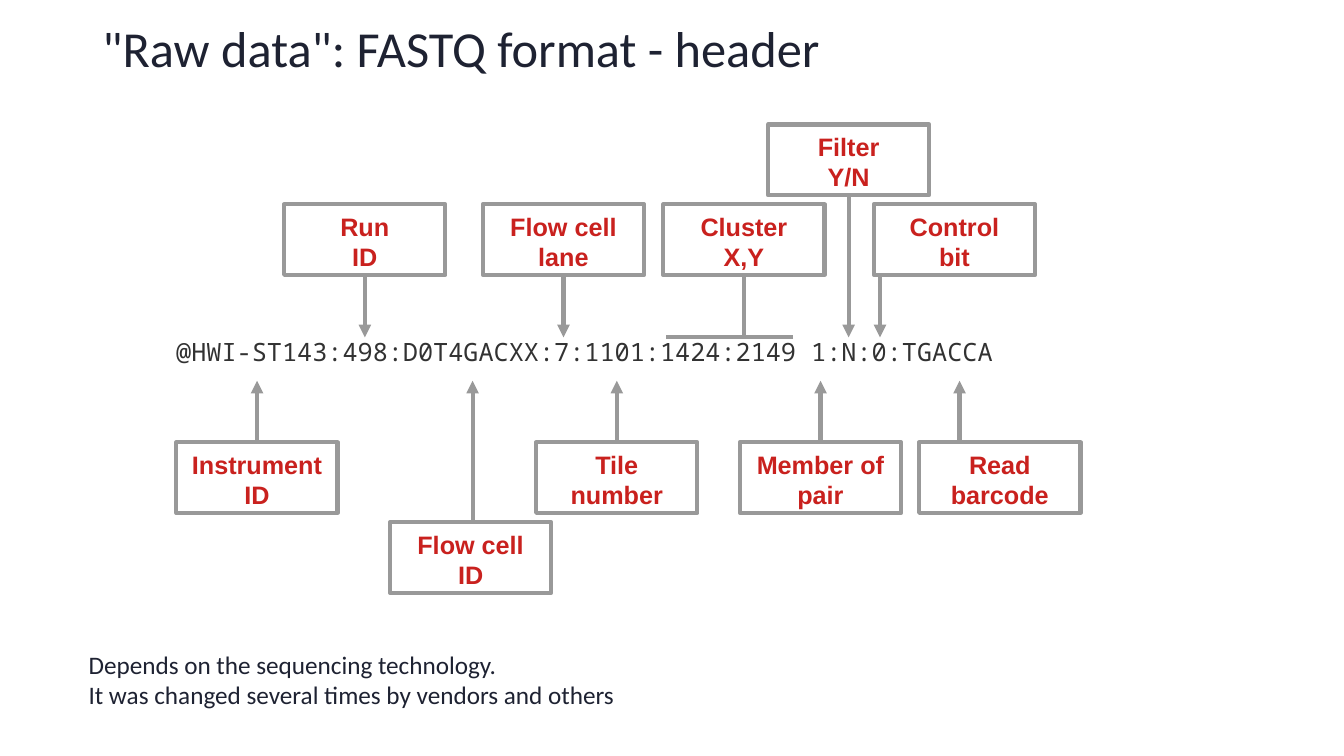
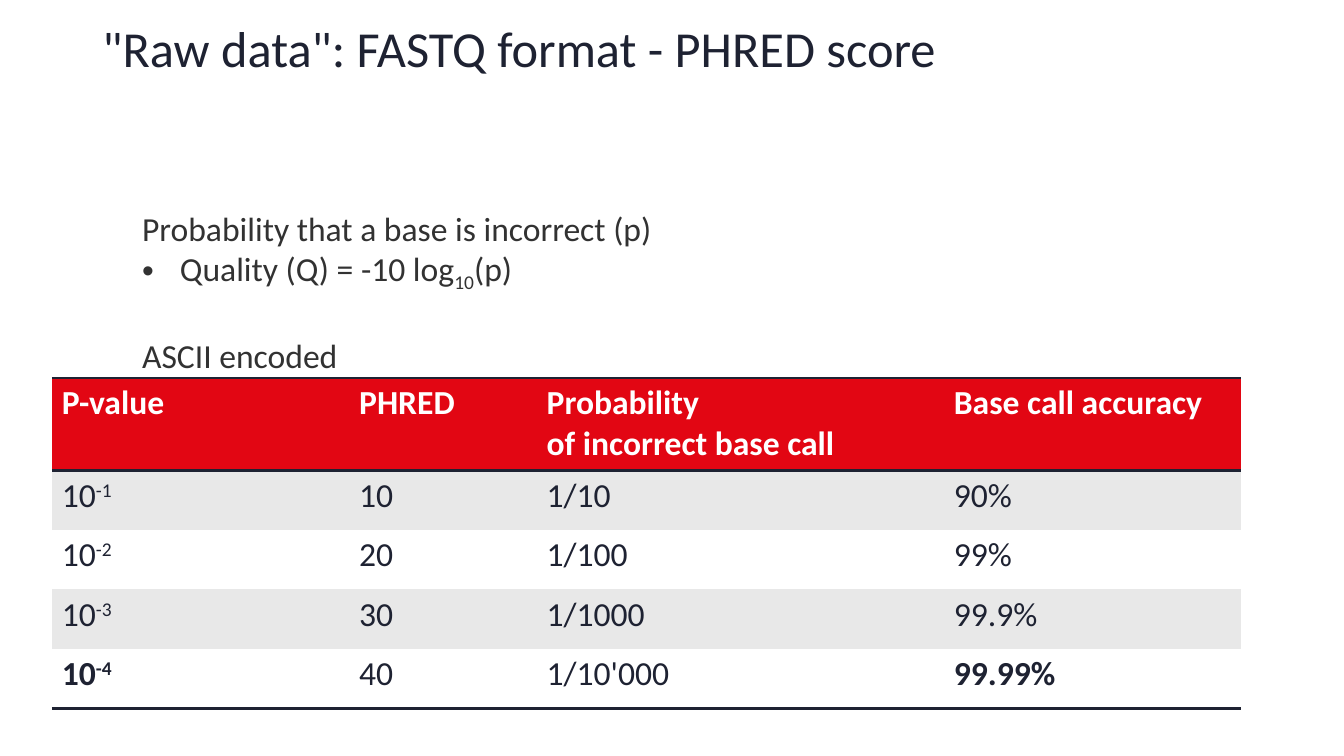
from pptx import Presentation
from pptx.dml.color import RGBColor
from pptx.enum import shapes, text
from pptx.oxml import parse_xml
from pptx.oxml.ns import nsdecls
from pptx.util import Pt

# Colours and text formats
INK = RGBColor(0x1E, 0x22, 0x32)
DARK = RGBColor(0x32, 0x32, 0x32)
RED = RGBColor(0xC9, 0x21, 0x1E)
GREY = RGBColor(0x99, 0x99, 0x99)
HEAD = RGBColor(0xE2, 0x06, 0x13)
BAND = RGBColor(0xE8, 0xE8, 0xE8)
WHITE = RGBColor(0xFF, 0xFF, 0xFF)

TITLE = dict(name="Calibri", size=Pt(36), color=INK)
TAG = dict(name="Arial", size=Pt(18), color=RED, bold=True)
CODE = dict(name="Noto Sans Mono", size=Pt(18), color=DARK)
NOTE = dict(name="Calibri", size=Pt(18), color=INK)
BODY = dict(name="Calibri", size=Pt(24), color=DARK)
CELL = dict(name="Calibri", size=Pt(24), color=INK, bold=False)

# Content of the header slide
READ = "@HWI-ST143:498:D0T4GACXX:7:1101:1424:2149 1:N:0:TGACCA"
NOTES = ["Depends on the sequencing technology.",
         "It was changed several times by vendors and others"]
TAG_W, TAG_H = 115.2, 50.4
MID = TAG_W / 2
ABOVE, BELOW = 241, 272  # where the pointers end
# label, left, top, pointer offset from left, arrowhead
TAGS = [
    ("Instrument\nID", 126, 316, MID, True),
    ("Flow cell\nID", 278.6, 373, 59, True),
    ("Run\nID", 203, 146, MID, True),
    ("Flow cell\nlane", 344.9, 146, MID, True),
    ("Tile\nnumber", 383, 316, MID, True),
    ("Cluster\nX,Y", 473.8, 146, MID, False),
    ("Member of\npair", 528.5, 316, MID, True),
    ("Filter\nY/N", 548.6, 89, MID, True),
    ("Read\nbarcode", 656.6, 316, 28.8, True),
    ("Control\nbit", 624.2, 146, 4.4, True),
]

# Content of the score slide: runs are (text, baseline in percent)
LINES = [  # runs, bullet, space before
    ([("Probability that a base is incorrect (p)", 0)], False, 0),
    ([("Quality (Q) = -10 log", 0), ("10", -25), ("(p)", 0)], True, 0),
    ([("ASCII encoded", 0)], False, 29),
]
COLS = [212.4, 133.9, 290.9, 212.4]
HEADS = ["P-value", "PHRED", "Probability\vof incorrect base call",
         "Base call accuracy"]
SCORES = [("-1", "10", "1/10", "90%"), ("-2", "20", "1/100", "99%"),
          ("-3", "30", "1/1000", "99.9%"), ("-4", "40", "1/10'000", "99.99%")]
HEAD_H, ROW_H = 66, 42.5


def style(font, fmt):
    for key, val in fmt.items():
        if key == "color":
            font.color.rgb = val
        else:
            setattr(font, key, val)


def fill(par, runs, fmt):
    for words, base in runs:
        for i, part in enumerate(words.split("\v")):
            if i:
                par.add_line_break()
            run = par.add_run()
            run.text = part
            style(run.font, fmt)
            if base:
                run.font._rPr.set("baseline", str(base * 1000))


def place(shape, left, top, width, height):
    shape.left, shape.top = Pt(left), Pt(top)
    shape.width, shape.height = Pt(width), Pt(height)


def inset(frame, side, end):
    frame.margin_left = frame.margin_right = Pt(side)
    frame.margin_top = frame.margin_bottom = Pt(end)
    frame.word_wrap = True


def start(deck, layout, title):
    slide = deck.slides.add_slide(deck.slide_layouts[layout])
    head = slide.shapes.title
    place(head, 66, 20, 828, 35.5)
    frame = head.text_frame
    inset(frame, 7.2, 0)
    frame.auto_size = text.MSO_AUTO_SIZE.NONE
    frame.vertical_anchor = text.MSO_ANCHOR.MIDDLE
    par = frame.paragraphs[0]
    par.alignment, par.line_spacing = text.PP_ALIGN.LEFT, 0.8
    fill(par, [(title, 0)], TITLE)
    return slide


def label(slide, lines, fmt, *box):
    frame = slide.shapes.add_textbox(*map(Pt, box)).text_frame
    inset(frame, 7.2, 3.6)
    for i, line in enumerate(lines):
        par = frame.add_paragraph() if i else frame.paragraphs[0]
        fill(par, [(line, 0)], fmt)


def rule(slide, x1, y1, x2, y2, arrow=False):
    line = slide.shapes.add_connector(
        shapes.MSO_CONNECTOR.STRAIGHT, *map(Pt, (x1, y1, x2, y2)))
    line.line.color.rgb, line.line.width = GREY, Pt(3)
    if arrow:
        line.line._get_or_add_ln().append(
            parse_xml(f'<a:tailEnd {nsdecls("a")} type="triangle"/>'))
    line._element.spPr.append(parse_xml(f'<a:effectLst {nsdecls("a")}/>'))


def tag(slide, words, left, top, off, arrow):
    box = slide.shapes.add_shape(
        shapes.MSO_SHAPE.RECTANGLE, *map(Pt, (left, top, TAG_W, TAG_H)))
    box.shadow.inherit = False
    box.fill.background()
    box.line.color.rgb, box.line.width = GREY, Pt(3)
    frame = box.text_frame
    inset(frame, 8.5, 5)
    frame.vertical_anchor = text.MSO_ANCHOR.TOP
    frame.text = words
    for par in frame.paragraphs:
        par.alignment = text.PP_ALIGN.CENTER
        style(par.runs[0].font, TAG)
    x = left + off
    if top < ABOVE:
        rule(slide, x, top + TAG_H, x, ABOVE, arrow)
    else:
        rule(slide, x, top, x, BELOW, arrow)


def header(deck):
    slide = start(deck, 5, '"Raw data": FASTQ format - header')
    for item in TAGS:
        tag(slide, *item)
    rule(slide, 566.6, ABOVE, 476, ABOVE)  # bar over the cluster X,Y
    label(slide, [READ], CODE, 118.8, 237, 623.5, 32)
    label(slide, NOTES, NOTE, 56.2, 460, 441, 51)


def bullets(shape):
    place(shape, 94.3, 144.7, 762.5, 184.3)
    frame = shape.text_frame
    inset(frame, 7.2, 3.6)
    frame.auto_size = text.MSO_AUTO_SIZE.NONE
    frame.vertical_anchor = text.MSO_ANCHOR.TOP
    for i, (runs, dot, gap) in enumerate(LINES):
        par = frame.add_paragraph() if i else frame.paragraphs[0]
        par.space_before = Pt(gap)
        props = par._p.get_or_add_pPr()
        dent = Pt(27) if dot else 0
        props.set("marL", str(dent))
        props.set("indent", str(-dent))
        mark = 'buChar char="•"' if dot else "buNone"
        mark = mark.replace(" ", f' {nsdecls("a")} ') if dot else f'buNone {nsdecls("a")}'
        props.append(parse_xml(f"<a:{mark}/>"))
        fill(par, runs, BODY)


def border(cell, sides):
    props = cell._tc.get_or_add_tcPr()
    for i, side in enumerate(sides):
        props.insert(i, parse_xml(
            f'<a:ln{side} {nsdecls("a")} w="{Pt(2)}"><a:solidFill>'
            f'<a:srgbClr val="{INK}"/></a:solidFill></a:ln{side}>'))


def scores(slide):
    count = len(SCORES)
    table = slide.shapes.add_table(
        count + 1, len(COLS), Pt(37), Pt(270), Pt(sum(COLS)),
        Pt(HEAD_H + count * ROW_H)).table
    table.first_row = table.horz_banding = False
    # plain table style without a grid
    table._tbl.tblPr[0].text = "{2D5ABB26-0587-4C30-8999-92F81FD0307C}"
    for col, width in zip(table.columns, COLS):
        col.width = Pt(width)
    for r, row in enumerate([HEADS] + SCORES):
        table.rows[r].height = Pt(ROW_H if r else HEAD_H)
        for c, words in enumerate(row):
            cell = table.cell(r, c)
            cell.fill.solid()
            cell.fill.fore_color.rgb = (BAND if r % 2 else WHITE) if r else HEAD
            fmt = dict(CELL, bold=r == 0 or r == count and c in (0, 3))
            if r == 0:
                fmt["color"] = WHITE
            power = r and c == 0
            runs = [("10", 0), (words, 30)] if power else [(words, 0)]
            fill(cell.text_frame.paragraphs[0], runs, fmt)
            border(cell, {0: "TB", count: "B"}.get(r, ""))


def score(deck):
    slide = start(deck, 1, '"Raw data": FASTQ format - PHRED score')
    bullets(slide.placeholders[1])
    scores(slide)


def main():
    deck = Presentation()
    deck.slide_width, deck.slide_height = Pt(960), Pt(540)
    header(deck)
    score(deck)
    deck.save("out.pptx")


if __name__ == "__main__":
    main()
